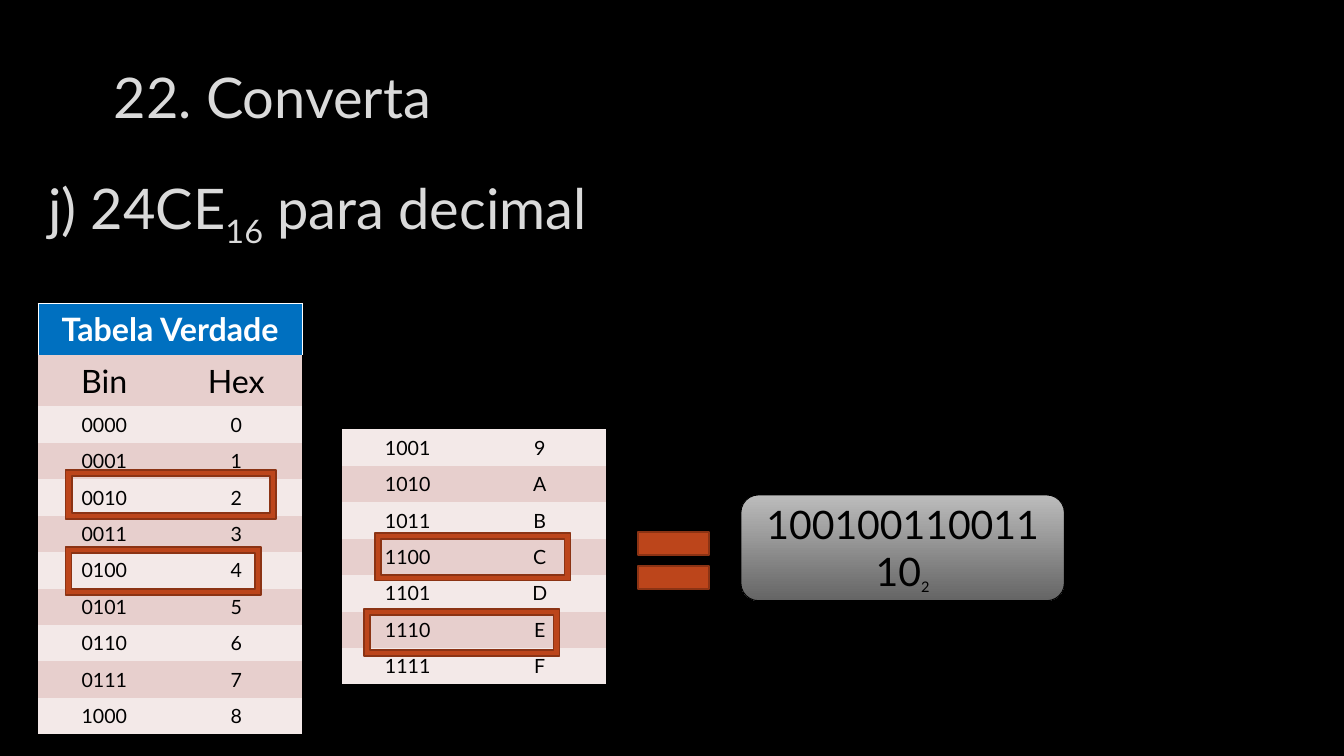
"""Build the slide that converts 24CE from hexadecimal with a truth table."""
from lxml.etree import SubElement
from pptx import Presentation
from pptx.dml.color import RGBColor
from pptx.enum.shapes import MSO_SHAPE
from pptx.enum.text import MSO_ANCHOR, PP_ALIGN
from pptx.oxml import parse_xml
from pptx.oxml.ns import nsdecls, qn
from pptx.util import Pt

BLACK = RGBColor(0x00, 0x00, 0x00)
WHITE = RGBColor(0xFF, 0xFF, 0xFF)
SILVER = RGBColor(0xDA, 0xDA, 0xDA)
BLUE = RGBColor(0x00, 0x70, 0xC0)
ROSE = RGBColor(0xE7, 0xCF, 0xCD)
PALE = RGBColor(0xF3, 0xE9, 0xE8)
RUST = RGBColor(0xBC, 0x45, 0x1B)
DARK_RUST = RGBColor(0x8B, 0x33, 0x14)
PILL_STOPS = (RGBColor(0xBC, 0xBC, 0xBC), RGBColor(0x65, 0x65, 0x65))
PLAIN_TABLE = "{2D5ABB26-0587-4C30-8999-92F81FD0307C}"

HEADINGS = [
    ((74.16, 10.08, 815.04, 117.36), [("22. Converta", 40, 0)]),
    ((27.36, 92.88, 419.04, 117.36),
     [("j) 24CE", 40, 0), ("16", 40, -25), (" para decimal", 40, 0)]),
]
ANSWER_BOX = (529.2, 353.52, 231.12, 75.6)
ANSWER = [("10010011001110", 28, 0), ("2", 18, -25)]
TABLE_TITLE = "Tabela Verdade"
COLUMN_NAMES = ("Bin", "Hex")
DIGITS = [(f"{value:04b}", f"{value:X}") for value in range(16)]
LOW_DIGITS, HIGH_DIGITS = DIGITS[:9], DIGITS[9:]
LOW_ORIGIN = (27.36, 216.72)
HIGH_ORIGIN = (244.08, 306.72)
COLUMN_WIDTH, HEAD_HEIGHT, DIGIT_HEIGHT = 94.32, 36.5, 26
MARKS = [
    (MSO_SHAPE.FRAME, (46.8, 335.52, 150.48, 35.28)),
    (MSO_SHAPE.FRAME, (46.8, 390.96, 139.68, 33.84)),
    (MSO_SHAPE.MATH_EQUAL, (446.4, 365.76, 69.12, 69.12)),
    (MSO_SHAPE.FRAME, (267.84, 380.88, 139.68, 33.84)),
    (MSO_SHAPE.FRAME, (259.92, 434.88, 139.68, 33.84)),
]
CELL_FORMAT = {"margin_left": Pt(9.36), "margin_right": Pt(9.36),
               "margin_top": Pt(4.6), "margin_bottom": Pt(4.6)}


def points(values):
    return [Pt(value) for value in values]


def apply_format(target, values):
    for key, value in values.items():
        setattr(target, key, value)


def write(frame, runs, color, align=PP_ALIGN.LEFT, bold=False):
    paragraph = frame.paragraphs[0]
    paragraph.alignment = align
    for text, size, baseline in runs:
        run = paragraph.add_run()
        run.text = text
        apply_format(run.font, {"name": "Lato", "size": Pt(size), "bold": bold})
        run.font.color.rgb = color
        if baseline:
            run.font._element.set("baseline", str(baseline * 1000))


def add_heading(slide, box, runs):
    frame = slide.shapes.add_textbox(*points(box)).text_frame
    apply_format(frame, {"word_wrap": True, "vertical_anchor": MSO_ANCHOR.MIDDLE})
    write(frame, runs, SILVER)
    for run in frame.paragraphs[0].runs:
        run.font._element.insert(0, parse_xml(
            f'<a:ln {nsdecls("a")} w="9525"><a:solidFill><a:srgbClr val="404040">'
            '<a:alpha val="10000"/></a:srgbClr></a:solidFill></a:ln>'))


def add_answer(slide):
    pill = slide.shapes.add_shape(MSO_SHAPE.ROUNDED_RECTANGLE, *points(ANSWER_BOX))
    pill.shadow.inherit = False
    pill.fill.gradient()
    pill.fill.gradient_angle = 270
    for stop, color in zip(pill.fill.gradient_stops, PILL_STOPS):
        stop.color.rgb = color
    pill.line.color.rgb = BLACK
    pill.line.width = Pt(0.75)
    apply_format(pill.text_frame, {"word_wrap": True, "vertical_anchor": MSO_ANCHOR.MIDDLE})
    write(pill.text_frame, ANSWER, BLACK, PP_ALIGN.CENTER)


def fill_cell(cell, text, size, color, background, bold=False):
    apply_format(cell, CELL_FORMAT)
    cell.fill.solid()
    cell.fill.fore_color.rgb = background
    write(cell.text_frame, [(text, size, 0)], color, PP_ALIGN.CENTER, bold)


def outline_header(cell):
    for position, side in enumerate(("L", "R", "T")):
        cell._tc.get_or_add_tcPr().insert(position, parse_xml(
            f'<a:ln{side} {nsdecls("a")} w="12700"><a:solidFill>'
            f'<a:srgbClr val="{WHITE}"/></a:solidFill></a:ln{side}>'))


def add_digit_table(slide, origin, digits, titled):
    heights = [HEAD_HEIGHT] * (2 * titled) + [DIGIT_HEIGHT] * len(digits)
    box = (*origin, 2 * COLUMN_WIDTH, sum(heights))
    table = slide.shapes.add_table(len(heights), 2, *points(box)).table
    apply_format(table, {"first_row": False, "horz_banding": False})
    properties = table._tbl.tblPr
    style = properties.find(qn("a:tableStyleId"))
    if style is None:
        style = SubElement(properties, qn("a:tableStyleId"))
    style.text = PLAIN_TABLE
    for row, height in zip(table.rows, heights):
        row.height = Pt(height)
    if titled:
        header = table.cell(0, 0)
        header.merge(table.cell(0, 1))
        fill_cell(header, TABLE_TITLE, 23, WHITE, BLUE, True)
        for column in range(2):
            outline_header(table.cell(0, column))
            fill_cell(table.cell(1, column), COLUMN_NAMES[column], 23, BLACK, ROSE)
    for index, pair in enumerate(digits):
        for column, text in enumerate(pair):
            cell = table.cell(index + 2 * titled, column)
            fill_cell(cell, text, 14, BLACK, ROSE if index % 2 else PALE)
            if not titled and column == 0:
                cell.vertical_anchor = MSO_ANCHOR.MIDDLE


def add_mark(slide, kind, box):
    mark = slide.shapes.add_shape(kind, *points(box))
    mark.shadow.inherit = False
    mark.fill.solid()
    mark.fill.fore_color.rgb = RUST
    mark.line.color.rgb = DARK_RUST
    mark.line.width = Pt(1.25)


def main():
    deck = Presentation()
    apply_format(deck, {"slide_width": Pt(960), "slide_height": Pt(540)})
    slide = deck.slides.add_slide(deck.slide_layouts[6])
    slide.background.fill.solid()
    slide.background.fill.fore_color.rgb = BLACK
    for box, runs in HEADINGS:
        add_heading(slide, box, runs)
    add_answer(slide)
    add_digit_table(slide, LOW_ORIGIN, LOW_DIGITS, True)
    add_digit_table(slide, HIGH_ORIGIN, HIGH_DIGITS, False)
    for kind, box in MARKS:
        add_mark(slide, kind, box)
    deck.save("out.pptx")


if __name__ == "__main__":
    main()
